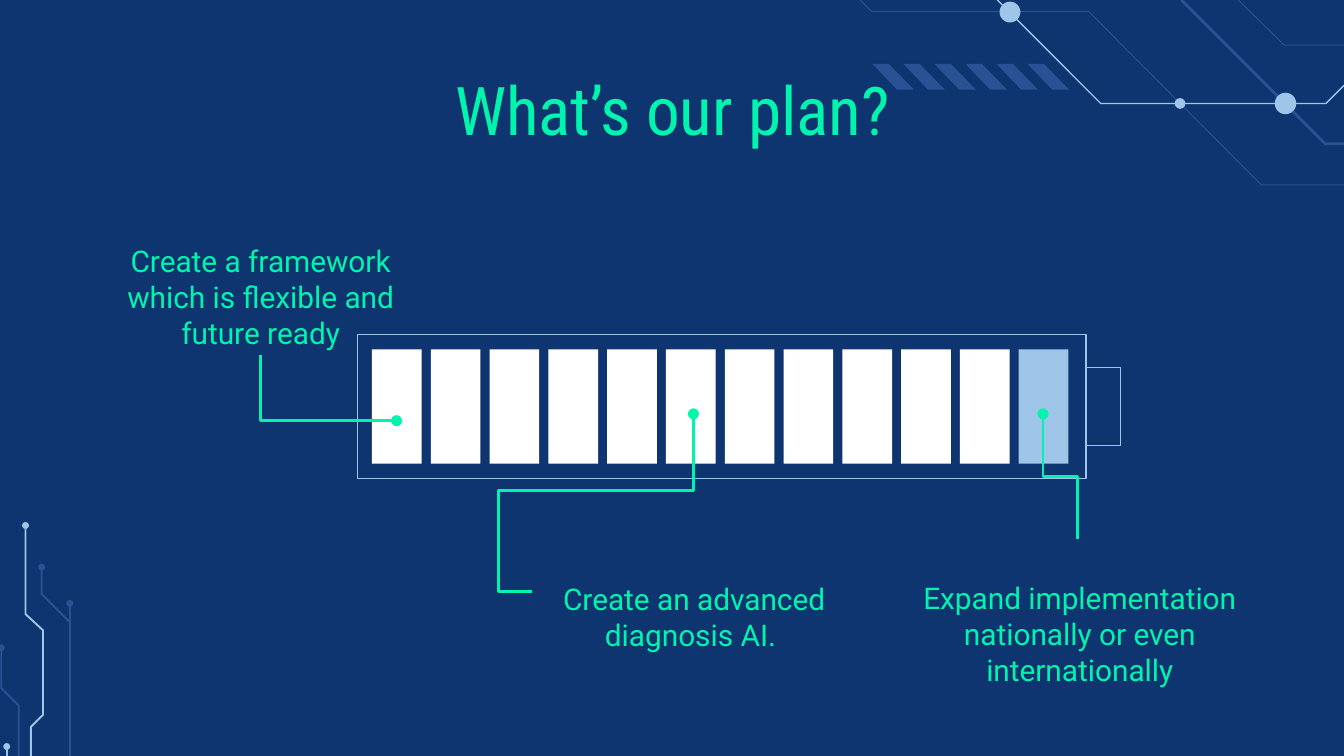
from pptx import Presentation
from pptx import util as u
from pptx.dml.color import RGBColor
from pptx.enum import shapes as sh, text as tx
from pptx.oxml.ns import qn
from lxml import etree

# Grid of 100 columns by 56.25 rows; all lengths below count its cells
COLS, ROWS = 100, 56.25
CELL = u.Inches(0.1)
NAVY, BLUE, SKY, WHITE, MINT = "0F3570", "285293", "9FC5E8", "FFFFFF", "00F4AD"


def cells(*nums):
    return [u.Emu(round(n * CELL)) for n in nums]


def tint(code):
    return RGBColor.from_string(code)


def paint(shape, fill=None, line=None, width=0.75):
    shape.shadow.inherit = False
    if fill:
        shape.fill.solid()
        shape.fill.fore_color.rgb = tint(fill)
    else:
        shape.fill.background()
    if line:
        shape.line.color.rgb = tint(line)
        shape.line.width = u.Pt(width)
    else:
        shape.line.fill.background()


def block(slide, box, **look):
    paint(slide.shapes.add_shape(sh.MSO_SHAPE.RECTANGLE, *cells(*box)), **look)


def dot(slide, x, y, size, **look):
    spot = cells(x - size / 2, y - size / 2, size, size)
    paint(slide.shapes.add_shape(sh.MSO_SHAPE.OVAL, *spot), **look)


def trace(slide, box, points, close=False, **look):
    spots = [cells(box[0] + x, box[1] + y) for x, y in points]
    pen = slide.shapes.build_freeform(*spots[0])
    pen.add_line_segments(spots[1:], close=close)
    paint(pen.convert_to_shape(), **look)


def label(slide, box, words, font, anchor):
    area = slide.shapes.add_textbox(*cells(*box))
    frame = area.text_frame
    form = dict(word_wrap=True, vertical_anchor=anchor, margin_left=0,
                margin_right=0, margin_top=0, margin_bottom=0)
    for key, value in form.items():
        setattr(frame, key, value)
    line = frame.paragraphs[0]
    line.text = words
    line.alignment = tx.PP_ALIGN.CENTER
    for key, value in font.items():
        setattr(line.font, key, value)
    line.font.color.rgb = tint(MINT)


def corner(slide, box):
    """Circuit lines, nodes and slanted stripes at the top right."""
    edge = box[2]
    wires = [
        (BLUE, 1.5, [(23.9, 0), (34.6, 10.7), (edge, 10.7)]),
        (SKY, 0.75, [(10.2, 0), (17.9, 7.7), (34.65, 7.7), (edge, 6.35)]),
        (BLUE, 0.5, [(0, 0), (0.85, 0.85), (17, 0.85), (29.85, 13.75),
                     (edge, 13.75)]),
        (BLUE, 0.5, [(28.15, 0), (31.55, 3.35), (edge, 3.35)]),
    ]
    for color, width, points in wires:
        trace(slide, box, points, line=color, width=width)
    for x, y, size in [(23.8, 7.7, 0.8), (11.15, 0.9, 1.55), (31.65, 7.7, 1.6)]:
        dot(slide, box[0] + x, box[1] + y, size, fill=SKY)
    for i in range(6):
        x = 0.9 + 2.31 * i
        slant = [(x, 4.75), (x + 1.85, 6.68), (x + 3.1, 6.68), (x + 1.22, 4.75)]
        trace(slide, box, slant, close=True, fill=BLUE)


def roots(slide, box):
    """Circuit lines at the bottom left, each ending in a node."""
    base = box[3]
    wires = [
        (SKY, [(2.3, base), (2.3, 16.1), (3.2, 15.2), (3.2, 8.9),
               (1.9, 7.7), (1.9, 1.1)]),
        (BLUE, [(5.2, base), (5.2, 6.9)]),
        (BLUE, [(5.2, 8.3), (3.1, 6.2), (3.1, 4.2)]),
        (BLUE, [(1.4, base), (1.4, 14.5), (0.1, 13.2), (0.1, 10.2)]),
        (SKY, [(0.5, base), (0.5, 17.55)]),
    ]
    for color, points in wires:
        trace(slide, box, points, line=color, width=1.03)
        x, y = points[-1]
        dot(slide, box[0] + x, box[1] + y, 0.4, fill=color, line=color)


def power(slide, box, count=12):
    """Battery: case, cap and a row of bars, the last one still to fill."""
    x, y, w, h = box
    block(slide, box, line=SKY)
    block(slide, (x + w, y + h * 0.23, 2.6, h * 0.54), line=SKY)
    step = (w - 1.7) / count
    for i in range(count):
        bar = (x + 1.08 + step * i, y + 1.1, 3.7, h - 2.2)
        block(slide, bar, fill=SKY if i == count - 1 else WHITE)


def link(slide, start, end, kind, turn=False, bends=()):
    """Elbow line with a round end; turn makes it leave upright."""
    ends = [start, end]
    if turn:
        mx, my = [(a + b) / 2 for a, b in zip(start, end)]
        ends = [(mx - (y - my), my + (x - mx)) for x, y in ends]
    wire = slide.shapes.add_connector(
        sh.MSO_CONNECTOR.ELBOW, *cells(*ends[0], *ends[1]))
    wire.line.color.rgb = tint(MINT)
    wire.line.width = u.Pt(1.5)
    props = wire.element.spPr
    if turn:
        props.find(qn("a:xfrm")).set("rot", str(270 * 60000))
    shape = props.find(qn("a:prstGeom"))
    shape.set("prst", kind)
    guides = shape.find(qn("a:avLst"))
    if guides is None:
        guides = etree.SubElement(shape, qn("a:avLst"))
    for i, bend in enumerate(bends, 1):
        etree.SubElement(guides, qn("a:gd"), name=f"adj{i}",
                         fmla=f"val {round(bend * 100000)}")
    etree.SubElement(props.find(qn("a:ln")), qn("a:tailEnd"), type="oval")
    etree.SubElement(props, qn("a:effectLst"))


def steps(slide, box):
    """Captions of the plan and their links to the battery."""
    x, y = box[:2]
    font = dict(name="Roboto", size=u.Pt(16))
    notes = [
        ((0, 0, 22.8, 8.7), "Create a framework which is flexible and future ready"),
        ((59.2, 25.9, 26.3, 7.1),
         "Expand implementation nationally or even internationally"),
        ((31.4, 23.6, 24.5, 9.2), "Create an advanced diagnosis AI. "),
    ]
    for (dx, dy, w, h), words in notes:
        label(slide, (x + dx, y + dy, w, h), words, font, tx.MSO_ANCHOR.MIDDLE)
    links = [
        ((11.4, 8.7), (21.5, 13.6), "bentConnector2", True, ()),
        ((72.2, 22.4), (69.6, 13.1), "bentConnector3", True, (0.5,)),
        ((31.6, 26.3), (43.6, 13.1), "bentConnector4", False, (-0.21, 0.57)),
    ]
    for (ax, ay), (bx, by), *rest in links:
        link(slide, (x + ax, y + ay), (x + bx, y + by), *rest)


def main():
    deck = Presentation()
    deck.slide_width, deck.slide_height = cells(COLS, ROWS)
    slide = deck.slides.add_slide(deck.slide_layouts[6])
    back = slide.background.fill
    back.solid()
    back.fore_color.rgb = tint(NAVY)

    corner(slide, (64, 0, 36, 14))
    roots(slide, (0, 38, 6, 18.25))
    label(slide, (7.9, 5.1, 84.3, 5.3), "What’s our plan?",
          dict(name="Roboto Condensed", size=u.Pt(36)), tx.MSO_ANCHOR.TOP)
    power(slide, (26.6, 24.9, 54.2, 10.7))
    steps(slide, (8, 17.7, 85.5, 33))
    deck.save("out.pptx")


if __name__ == "__main__":
    main()
